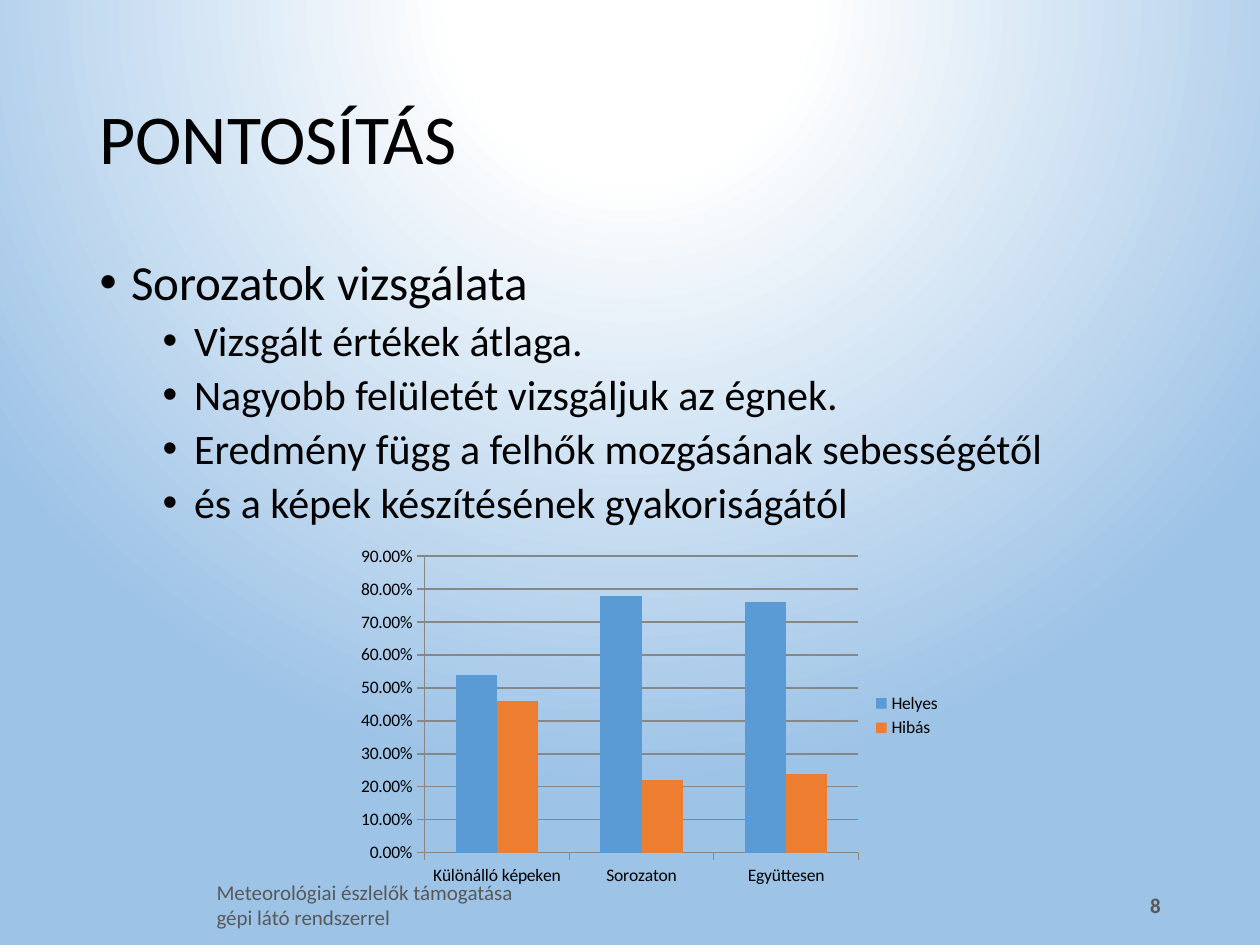
from lxml.etree import SubElement
from pptx import Presentation
from pptx.chart.data import CategoryChartData
from pptx.dml.color import RGBColor
from pptx.enum.chart import XL_CHART_TYPE, XL_LEGEND_POSITION, XL_TICK_MARK
from pptx.enum.text import MSO_ANCHOR, MSO_AUTO_SIZE, PP_ALIGN
from pptx.oxml import parse_xml
from pptx.oxml.ns import nsdecls, qn
from pptx.util import Inches, Pt

FONT = "Calibri"
BLACK = RGBColor(0x00, 0x00, 0x00)
GRAY = RGBColor(0x59, 0x59, 0x59)
GRID_GRAY = RGBColor(0x87, 0x87, 0x87)
WHITE = RGBColor(0xFF, 0xFF, 0xFF)
SKY = RGBColor(0x9D, 0xC3, 0xE6)
BLUE = RGBColor(0x5B, 0x9B, 0xD5)
ORANGE = RGBColor(0xED, 0x7D, 0x31)

POINTS = [
    (0, "Sorozatok vizsgálata"),
    (1, "Vizsgált értékek átlaga."),
    (1, "Nagyobb felületét vizsgáljuk az égnek."),
    (1, "Eredmény függ a felhők mozgásának sebességétől"),
    (1, "és a képek készítésének gyakoriságától"),
]
LEVEL_STYLES = [(28, 10, 0.25), (24, 5, 0.75)]
CATEGORIES = ["Különálló képeken", "Sorozaton", "Együttesen"]
RESULTS = [
    ("Helyes", [0.54, 0.78, 0.76], BLUE),
    ("Hibás", [0.46, 0.22, 0.24], ORANGE),
]


def set_background(slide):
    stops = "".join(
        f'<a:gs pos="{position * 1000}"><a:srgbClr val="{color}"/></a:gs>'
        for position, color in [(0, WHITE), (22, WHITE), (100, SKY)]
    )
    background = parse_xml(
        f'<p:bg {nsdecls("p", "a")}><p:bgPr><a:gradFill rotWithShape="1">'
        f'<a:gsLst>{stops}</a:gsLst><a:path path="circle">'
        '<a:fillToRect l="50000" t="-80000" r="50000" b="180000"/></a:path>'
        '</a:gradFill><a:effectLst/></p:bgPr></p:bg>'
    )
    slide.element.cSld.insert(0, background)


def place(shape, left, top, width, height):
    shape.left, shape.top = Inches(left), Inches(top)
    shape.width, shape.height = Inches(width), Inches(height)


def style_font(font, size, color, bold=False):
    font.name = FONT
    font.size = Pt(size)
    font.color.rgb = color
    font.bold = bold


def add_run(paragraph, text, size, color, bold=False):
    run = paragraph.add_run()
    run.text = text
    style_font(run.font, size, color, bold)


def set_bullet(paragraph, indent):
    properties = paragraph._p.get_or_add_pPr()
    properties.set("marL", str(Inches(indent)))
    properties.set("indent", str(Inches(-0.25)))
    SubElement(properties, qn("a:buFont"), typeface="Arial")
    SubElement(properties, qn("a:buChar"), char="•")


def fill_title(title):
    place(title, 0.69, 0.4, 8.62, 1.45)
    title.text_frame.auto_size = MSO_AUTO_SIZE.NONE
    title.text_frame.vertical_anchor = MSO_ANCHOR.MIDDLE
    heading = title.text_frame.paragraphs[0]
    heading.alignment = PP_ALIGN.LEFT
    heading.line_spacing = 0.9
    add_run(heading, "PONTOSÍTÁS", 40, BLACK)


def fill_body(body):
    place(body, 0.69, 2, 8.62, 4.76)
    frame = body.text_frame
    frame.auto_size = MSO_AUTO_SIZE.NONE
    for index, (level, text) in enumerate(POINTS):
        point = frame.add_paragraph() if index else frame.paragraphs[0]
        size, space, indent = LEVEL_STYLES[level]
        point.level = level
        point.line_spacing = 0.9
        point.space_before = Pt(space)
        set_bullet(point, indent)
        add_run(point, text, size, BLACK)


def add_footer(slide, text, left, width, alignment, bold=False):
    footer = slide.shapes.add_textbox(
        Inches(left), Inches(6.98), Inches(width), Inches(0.4))
    frame = footer.text_frame
    frame.word_wrap = True
    frame.vertical_anchor = MSO_ANCHOR.MIDDLE
    frame.paragraphs[0].alignment = alignment
    add_run(frame.paragraphs[0], text, 12, GRAY, bold)


def style_axis(axis):
    axis.major_tick_mark = XL_TICK_MARK.OUTSIDE
    axis.minor_tick_mark = XL_TICK_MARK.NONE
    axis.format.line.color.rgb = GRID_GRAY
    axis.format.line.width = Pt(0.75)


def add_accuracy_chart(slide):
    accuracy = CategoryChartData(number_format="0.00%")
    accuracy.categories = CATEGORIES
    for name, values, _ in RESULTS:
        accuracy.add_series(name, values)
    chart = slide.shapes.add_chart(
        XL_CHART_TYPE.COLUMN_CLUSTERED, Inches(2.77), Inches(4.28),
        Inches(4.8), Inches(2.8), accuracy).chart
    style_font(chart.font, 10, BLACK)
    chart.has_title = False
    chart.has_legend = True
    chart.legend.position = XL_LEGEND_POSITION.RIGHT
    chart.legend.include_in_layout = False
    style_axis(chart.category_axis)
    style_axis(chart.value_axis)
    chart.value_axis.minimum_scale = 0
    chart.value_axis.maximum_scale = 0.9
    chart.value_axis.major_unit = 0.1
    chart.value_axis.tick_labels.number_format = "0.00%"
    chart.value_axis.tick_labels.number_format_is_linked = False
    gridline = chart.value_axis.major_gridlines.format.line
    gridline.color.rgb = GRID_GRAY
    gridline.width = Pt(0.75)
    plot = chart.plots[0]
    plot.gap_width = 150
    plot.overlap = 0
    plot.vary_by_categories = False
    for series, (_, _, color) in zip(plot.series, RESULTS):
        series.format.fill.solid()
        series.format.fill.fore_color.rgb = color


def main():
    presentation = Presentation()
    presentation.slide_width = Inches(10)
    presentation.slide_height = Inches(7.5)
    slide = presentation.slides.add_slide(presentation.slide_layouts[1])
    set_background(slide)
    fill_title(slide.shapes.title)
    fill_body(slide.placeholders[1])
    add_footer(slide, "8", 7.06, 2.25, PP_ALIGN.RIGHT, bold=True)
    add_footer(slide, "Meteorológiai észlelők támogatása gépi látó rendszerrel",
               1.62, 2.81, PP_ALIGN.LEFT)
    add_accuracy_chart(slide)
    presentation.save("out.pptx")


if __name__ == "__main__":
    main()
